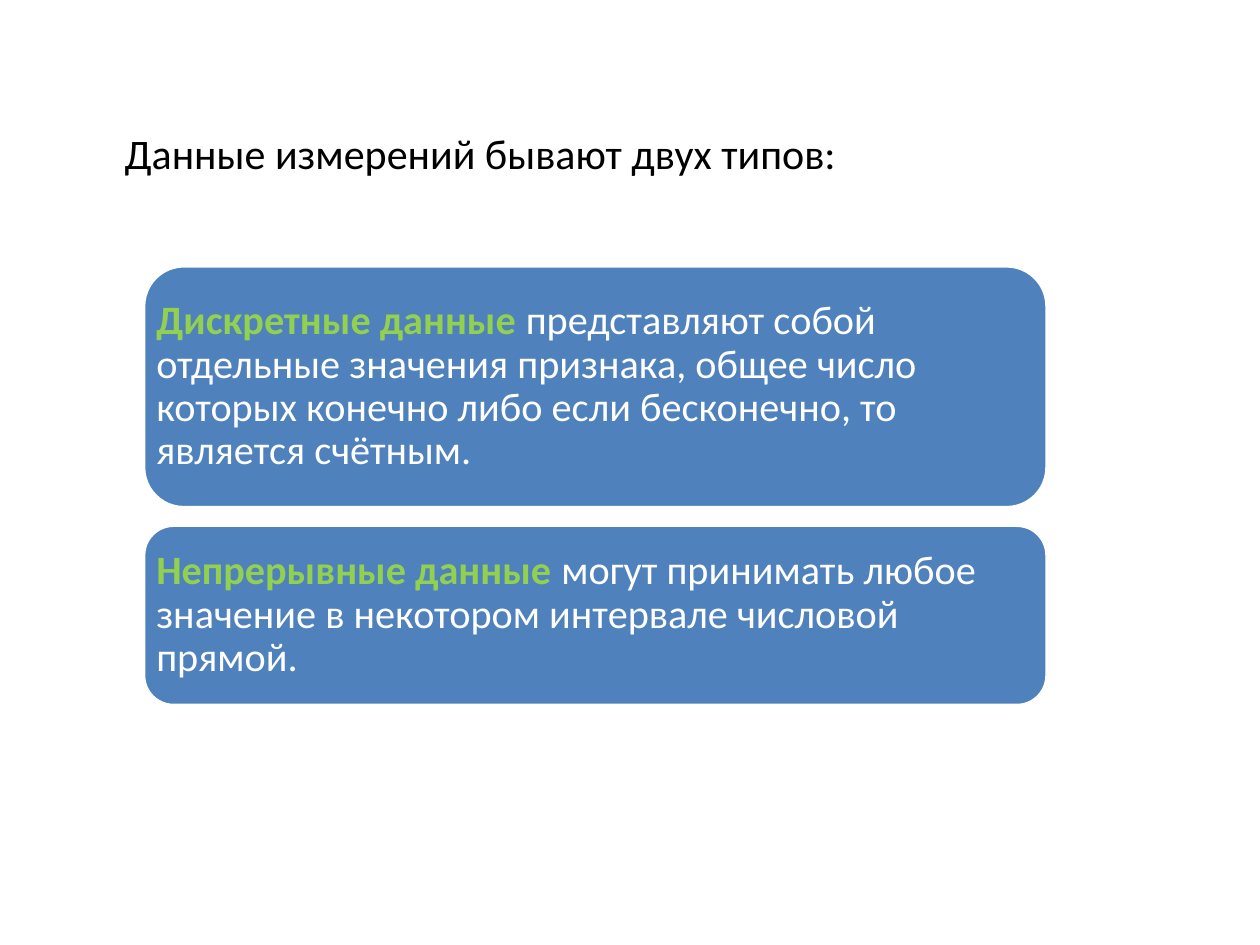
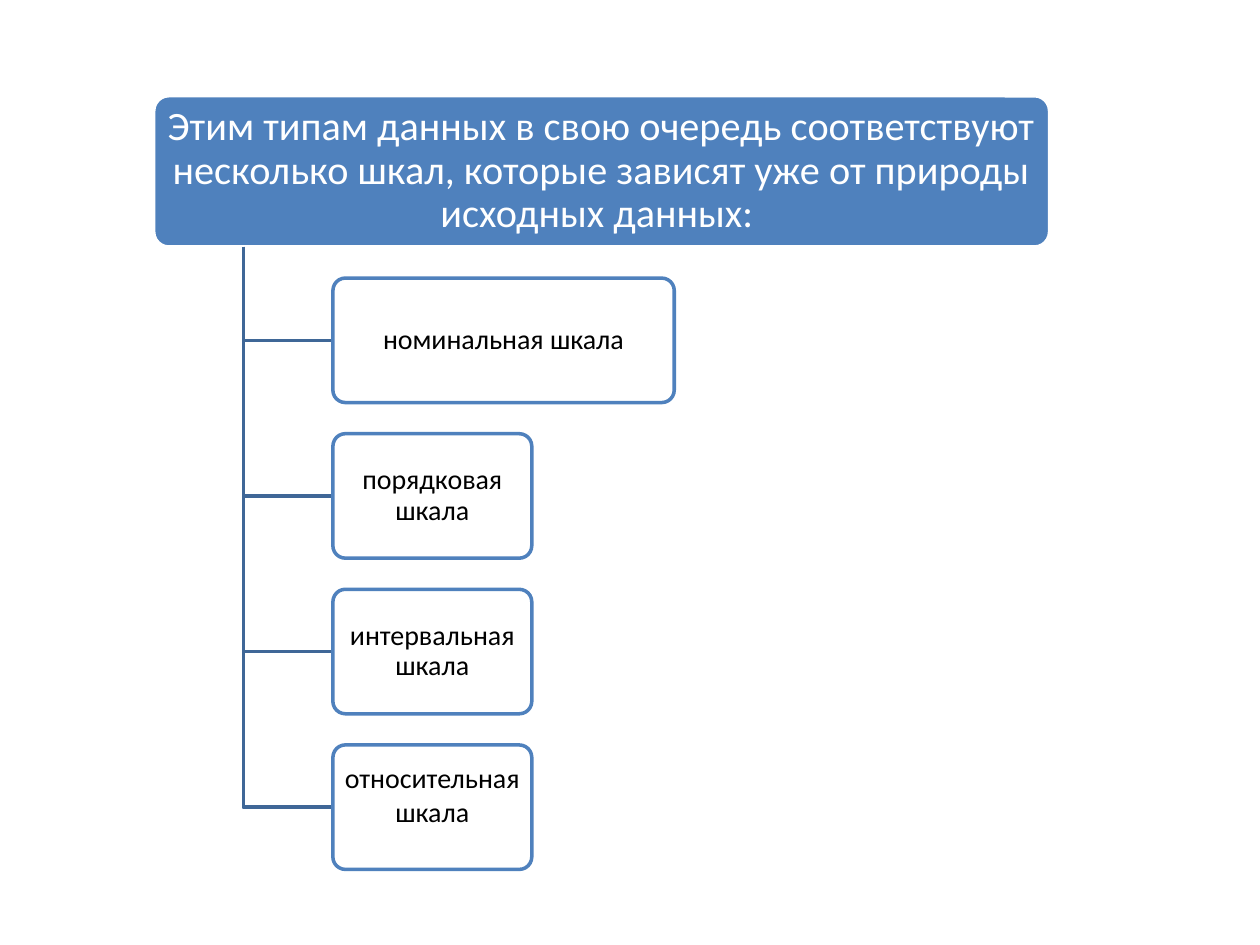
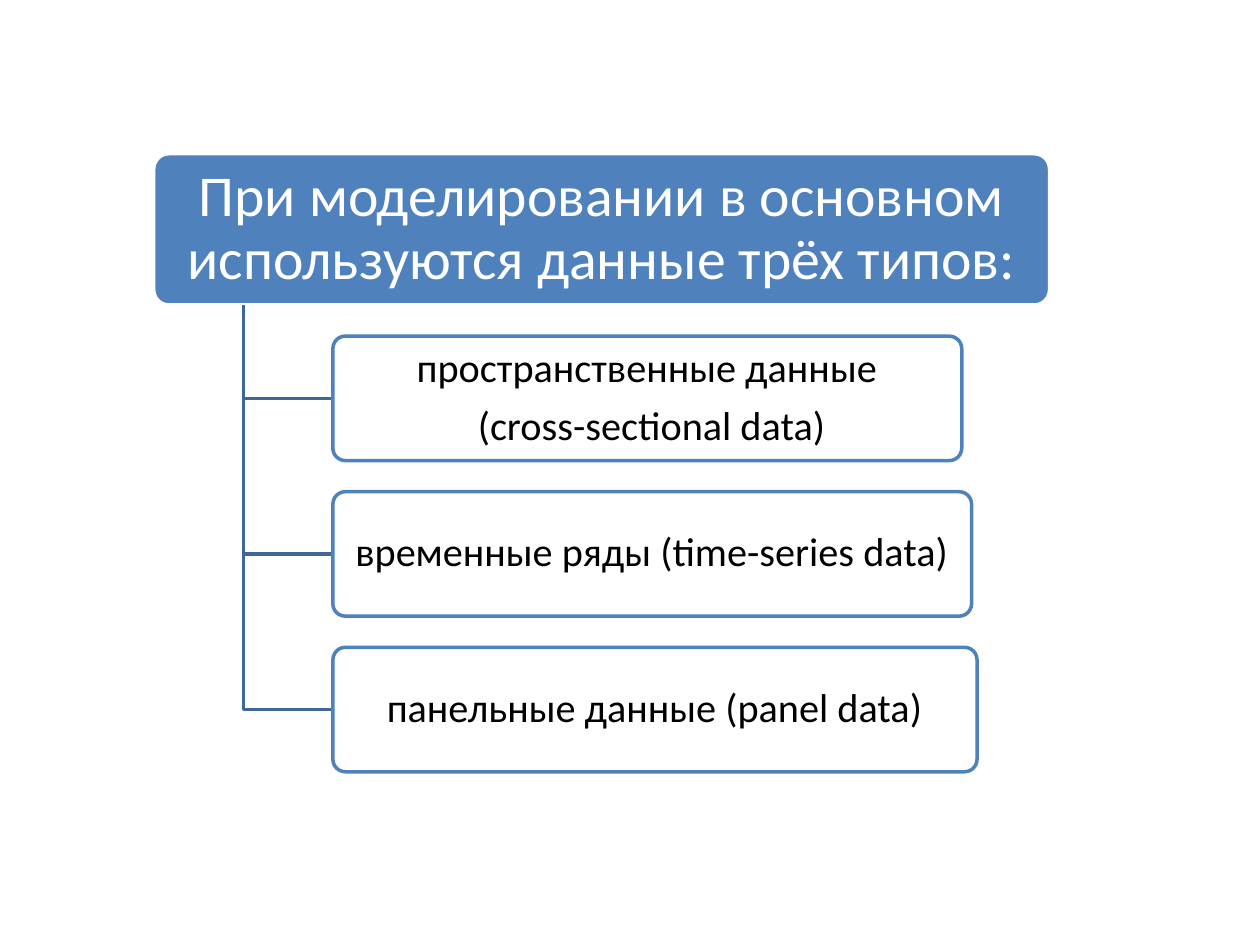
import collections
import dataclasses

import pptx
import pptx.dml.color
import pptx.enum.shapes
import pptx.enum.text
import pptx.oxml
import pptx.oxml.ns
import pptx.util

Box = collections.namedtuple("Box", "left top width height")
Branch = collections.namedtuple("Branch", "lines width spacing lift", defaults=(0.9, 0))
ALIGN = pptx.enum.text.PP_ALIGN
ANCHOR = pptx.enum.text.MSO_ANCHOR


@dataclasses.dataclass(frozen=True)
class Theme:
    """Colours, font, type sizes (points) and paddings (inches) of the deck."""
    font: str = "Calibri"
    accent: str = "4F81BD"
    link: str = "3F6797"
    term: str = "92D050"
    light: str = "FFFFFF"
    dark: str = "000000"
    intro_size: int = 24
    body_size: int = 23
    headline_size: int = 33
    label_size: int = 16
    outline: int = 2
    paragraph_gap: int = 8
    corner: float = 0.1
    card_corner: float = 0.1667
    corner_inset: float = 0.29


THEME = Theme()
SLIDE_WIDTH = pptx.util.Inches(10)
SLIDE_HEIGHT = pptx.util.Inches(7.5)


def rgb(colour):
    """Turn a hex string into a colour."""
    return pptx.dml.color.RGBColor.from_string(colour)


def region(left, top, width, height):
    """Make a box from percentages of the slide's size."""
    return Box(int(SLIDE_WIDTH * left / 100), int(SLIDE_HEIGHT * top / 100),
               int(SLIDE_WIDTH * width / 100), int(SLIDE_HEIGHT * height / 100))


def part(box, left, top, width, height):
    """Cut a box out of another by shares of its size."""
    return Box(int(box.left + box.width * left), int(box.top + box.height * top),
               int(box.width * width), int(box.height * height))


def set_margins(frame, sides, top, bottom):
    """Set the paddings of a text frame and let it wrap."""
    frame.word_wrap = True
    frame.margin_left = frame.margin_right = int(max(0, sides))
    frame.margin_top = int(max(0, top))
    frame.margin_bottom = int(max(0, bottom))


def write(frame, paragraphs, size, align=ALIGN.LEFT, spacing=0.9):
    """Write paragraphs, each a list of (text, colour, bold) runs."""
    for index, runs in enumerate(paragraphs):
        paragraph = frame.add_paragraph() if index else frame.paragraphs[0]
        paragraph.alignment = align
        paragraph.line_spacing = spacing
        if index < len(paragraphs) - 1:
            paragraph.space_after = pptx.util.Pt(THEME.paragraph_gap)
        for text, colour, bold in runs:
            run = paragraph.add_run()
            run.text = text
            run.font.name = THEME.font
            run.font.size = pptx.util.Pt(size)
            run.font.bold = bold
            run.font.color.rgb = rgb(colour)


def panel(slide, box, fill, line, corner, padding, lift=0):
    """Draw a rounded panel and return its text frame, padded from the outer edge."""
    shape = slide.shapes.add_shape(
        pptx.enum.shapes.MSO_SHAPE.ROUNDED_RECTANGLE, *box)
    shape.adjustments[0] = corner
    shape.shadow.inherit = False
    shape.fill.solid()
    shape.fill.fore_color.rgb = rgb(fill)
    shape.line.color.rgb = rgb(line)
    shape.line.width = pptx.util.Pt(THEME.outline)
    frame = shape.text_frame
    frame.vertical_anchor = ANCHOR.MIDDLE
    inset = THEME.corner_inset * corner * box.height
    sides, ends = (pptx.util.Inches(value) - inset for value in padding)
    set_margins(frame, sides, ends, max(0, ends) + pptx.util.Inches(lift))
    return shape, frame


def intro(slide, box, text):
    """Place the introductory line of a slide."""
    frame = slide.shapes.add_textbox(*box).text_frame
    set_margins(frame, pptx.util.Inches(0.48), pptx.util.Inches(0.17),
                pptx.util.Inches(0.05))
    write(frame, [[(text, THEME.dark, False)]], THEME.intro_size, spacing=1.0)


def definitions(slide, box, entries):
    """Stack definition cards; entries are (term, meaning, share of height)."""
    gap = (1 - sum(share for _, _, share in entries)) / (len(entries) - 1)
    top = 0
    for term, meaning, share in entries:
        _, frame = panel(slide, part(box, 0, top, 1, share), THEME.accent,
                         THEME.light, THEME.card_corner, (0.1, 0.1))
        write(frame, [[(term, THEME.term, True), (meaning, THEME.light, False)]],
              THEME.body_size)
        top += share + gap


def elbow(slide, left, top, right, bottom):
    """Draw a link going down and then right."""
    builder = slide.shapes.build_freeform(left, top)
    builder.add_line_segments([(left, bottom), (right, bottom)], close=False)
    link = builder.convert_to_shape()
    link.shadow.inherit = False
    link.fill.background()
    link.line.color.rgb = rgb(THEME.link)
    link.line.width = pptx.util.Pt(THEME.outline)


def hierarchy(slide, box, heading, heading_size, heading_padding,
              branches, branch_size, branch_padding):
    """Draw a heading with branches below; each takes a gap row and four rows."""
    heading_rows, branch_rows = 4.86, 4
    pitch = branch_rows + 1
    row = 1 / (heading_rows + pitch * len(branches))
    head = part(box, 0, 0, 1, heading_rows * row)
    _, frame = panel(slide, head, THEME.accent, THEME.light, THEME.corner,
                     heading_padding)
    write(frame, [[(heading, THEME.light, False)]], heading_size, ALIGN.CENTER)

    for index, branch in enumerate(branches):
        top = (heading_rows + 1 + index * pitch) * row
        place = part(box, 0.2, top, branch.width / 100, branch_rows * row)
        elbow(slide, head.left + head.width // 10, head.top + head.height,
              place.left, place.top + place.height // 2)
        shape, frame = panel(slide, place, THEME.light, THEME.accent,
                             THEME.corner, branch_padding, branch.lift)
        colour = shape.fill._xPr.find(".//" + pptx.oxml.ns.qn("a:srgbClr"))
        colour.append(pptx.oxml.parse_xml(
            "<a:alpha %s val='90000'/>" % pptx.oxml.ns.nsdecls("a")))
        write(frame, [[(line, THEME.dark, False)] for line in branch.lines],
              branch_size, ALIGN.CENTER, branch.spacing)


def data_kinds(slide):
    """Slide on the two kinds of measurement data."""
    intro(slide, region(5.1, 11.2, 90, 10.53), "Данные измерений бывают двух типов:")
    definitions(slide, region(11.4, 28.13, 71.7, 46.53), [
        ("Дискретные данные ",
         "представляют собой отдельные значения признака, общее число которых "
         "конечно либо если бесконечно, то является счётным. ", 0.55),
        ("Непрерывные данные ",
         "могут принимать любое значение в некотором интервале числовой прямой.",
         0.41),
    ])


def scales(slide):
    """Slide on the measurement scales."""
    hierarchy(slide, region(12.2, 10.13, 71.1, 81.87),
              "Этим типам данных в свою очередь соответствуют несколько шкал, "
              "которые зависят уже от природы исходных данных: ",
              THEME.body_size, (0.05, 0.03), [
                  Branch(["номинальная шкала"], 38.1),
                  Branch(["порядковая шкала"], 22.2),
                  Branch(["интервальная шкала"], 22.2),
                  Branch(["относительная шкала"], 22.2, 1.0, 0.2),
              ], THEME.label_size, (0.03, 0.02))


def model_data(slide):
    """Slide on the data used in modelling."""
    hierarchy(slide, region(12.2, 16.27, 71.1, 65.4),
              "При моделировании в основном используются данные трёх типов:",
              THEME.headline_size, (0.07, 0.05), [
                  Branch(["пространственные данные", " (cross-sectional data)"], 70.2),
                  Branch(["временные ряды (time-series data)"], 71.3),
                  Branch(["панельные данные (panel data)"], 71.9),
              ], THEME.body_size, (0.05, 0.03))


def main():
    """Build the deck."""
    deck = pptx.Presentation()
    deck.slide_width, deck.slide_height = SLIDE_WIDTH, SLIDE_HEIGHT
    for fill_slide in (data_kinds, scales, model_data):
        fill_slide(deck.slides.add_slide(deck.slide_layouts[6]))
    deck.save("out.pptx")


main()
